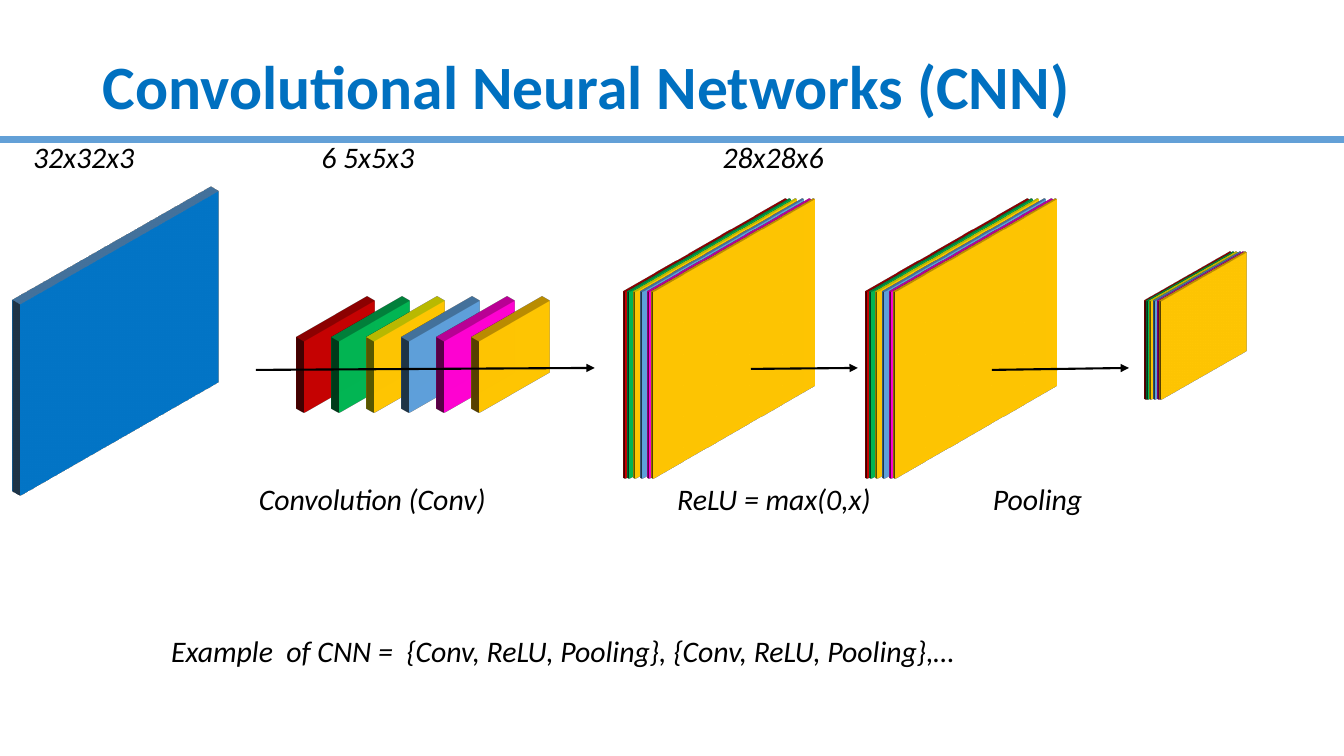
from dataclasses import dataclass

from lxml.etree import SubElement
from pptx import Presentation
from pptx.dml.color import RGBColor
from pptx.enum.shapes import MSO_CONNECTOR, MSO_SHAPE
from pptx.enum.text import MSO_ANCHOR, PP_ALIGN
from pptx.oxml.ns import qn
from pptx.util import Inches, Pt


@dataclass(frozen=True)
class Theme:
    font: str = "Calibri"
    title_size: float = 44
    label_size: float = 21.3
    title: str = "0070C0"
    ink: str = "000000"
    rule: str = "63A0D7"
    input_face: str = "0070C0"
    input_edge: str = "5B9BD5"
    # (face, edge) of each of the six feature channels, back to front
    channels: tuple = (
        ("C00000", "C00000"),
        ("00B050", "00B050"),
        ("FFC000", "FFFF00"),
        ("5B9BD5", "5B9BD5"),
        ("FF00CC", "FF00CC"),
        ("FFC000", "FFC000"),
    )


class SlideBuilder:
    """Draws on one slide, on a grid of 100 columns by 75 rows."""

    def __init__(self, deck, theme):
        self.theme = theme
        self.column = deck.slide_width / 100
        self.row = deck.slide_height / 75
        self.slide = deck.slides.add_slide(deck.slide_layouts[5])

    def box(self, left, top, width, height):
        """Turn grid units into slide lengths."""
        return (round(left * self.column), round(top * self.row),
                round(width * self.column), round(height * self.row))

    def style(self, paragraph, size, color):
        font = paragraph.font
        font.name, font.size = self.theme.font, Pt(size)
        font.color.rgb = RGBColor.from_string(color)
        return font

    def title(self, text, *cells):
        title = self.slide.shapes.title
        title.left, title.top, title.width, title.height = self.box(*cells)
        title.text_frame.text = text
        title.text_frame.vertical_anchor = MSO_ANCHOR.MIDDLE
        heading = title.text_frame.paragraphs[0]
        heading.alignment = PP_ALIGN.LEFT
        heading.line_spacing = 0.9
        self.style(heading, self.theme.title_size, self.theme.title).bold = True

    def label(self, text, left, top, width):
        label = self.slide.shapes.add_textbox(*self.box(left, top, width, 4.3))
        label.text_frame.word_wrap = True
        label.text_frame.text = text
        paragraph = label.text_frame.paragraphs[0]
        self.style(paragraph, self.theme.label_size, self.theme.ink).italic = True

    def line(self, start, end, color, weight):
        x1, y1, x2, y2 = self.box(*start, *end)
        line = self.slide.shapes.add_connector(MSO_CONNECTOR.STRAIGHT, x1, y1, x2, y2)
        line.line.color.rgb = RGBColor.from_string(color)
        line.line.width = Pt(weight)
        SubElement(line._element.spPr, qn("a:effectLst"))
        return line

    def arrow(self, start, end):
        arrow = self.line(start, end, self.theme.ink, 1.5)
        SubElement(arrow.line._get_or_add_ln(), qn("a:tailEnd"), type="triangle")

    def slab(self, cells, colors, depth, shapes=None):
        """Add a rectangle seen isometrically, extruded by depth points."""
        shapes = shapes or self.slide.shapes
        slab = shapes.add_shape(MSO_SHAPE.RECTANGLE, *self.box(*cells))
        face, edge = map(RGBColor.from_string, colors)
        slab.fill.solid()
        slab.fill.fore_color.rgb = face
        slab.line.color.rgb = edge
        slab.line.width = Pt(1)
        slab.shadow.inherit = False
        properties = slab._element.spPr
        scene = SubElement(properties, qn("a:scene3d"))
        SubElement(scene, qn("a:camera"), prst="isometricRightUp")
        SubElement(scene, qn("a:lightRig"), rig="threePt", dir="t")
        SubElement(properties, qn("a:sp3d"), extrusionH=str(Pt(depth)))

    def filters(self, left, top, width, height, step):
        for index, colors in enumerate(self.theme.channels):
            self.slab((left + index * step, top, width, height), colors, 8)

    def feature_maps(self, left, top, scale=1.0):
        """Stack one thin slab per channel in a group."""
        stack = self.slide.shapes.add_group_shape().shapes
        offsets = (0, 0.3, 0.75, 1.28, 1.8, 2.1)
        for offset, colors in zip(offsets, self.theme.channels):
            cells = (left + offset * scale, top, 16.95 * scale, 22.5 * scale)
            self.slab(cells, colors, 2, stack)


def main():
    deck = Presentation()
    deck.slide_width, deck.slide_height = Inches(13.33), Inches(7.5)
    theme = Theme()
    cnn = SlideBuilder(deck, theme)

    cnn.line((100, 13.8), (0, 13.8), theme.rule, 5)
    cnn.title("Convolutional Neural Networks (CNN)", 6.9, 4, 86.25, 9.8)

    cnn.slab((-1.5, 22.5, 20.78, 23.1), (theme.input_face, theme.input_edge), 8)
    cnn.filters(21.53, 31.1, 7.43, 8.6, step=2.61)
    cnn.feature_maps(44.03, 22.4)
    cnn.feature_maps(62.03, 22.4)
    cnn.feature_maps(84, 26.4, scale=0.53)

    for start, end in (
        ((19.05, 36.7), (44.25, 36.5)),
        ((55.88, 36.6), (63.83, 36.5)),
        ((73.8, 36.7), (84, 36.5)),
    ):
        cnn.arrow(start, end)

    for text, left, top, width in (
        ("32x32x3", 1.73, 13.3, 10),
        ("6 5x5x3", 23.18, 13.3, 10),
        ("28x28x6", 53.03, 13.3, 10),
        ("Convolution (Conv)", 18.53, 47.2, 21.9),
        ("ReLU = max(0,x)", 49.65, 47.2, 20.33),
        ("Pooling", 73.13, 47.2, 10),
        ("Example  of CNN =  {Conv, ReLU, Pooling}, {Conv, ReLU, Pooling},…", 12, 62.3, 77.2),
    ):
        cnn.label(text, left, top, width)

    deck.save("out.pptx")


if __name__ == "__main__":
    main()
